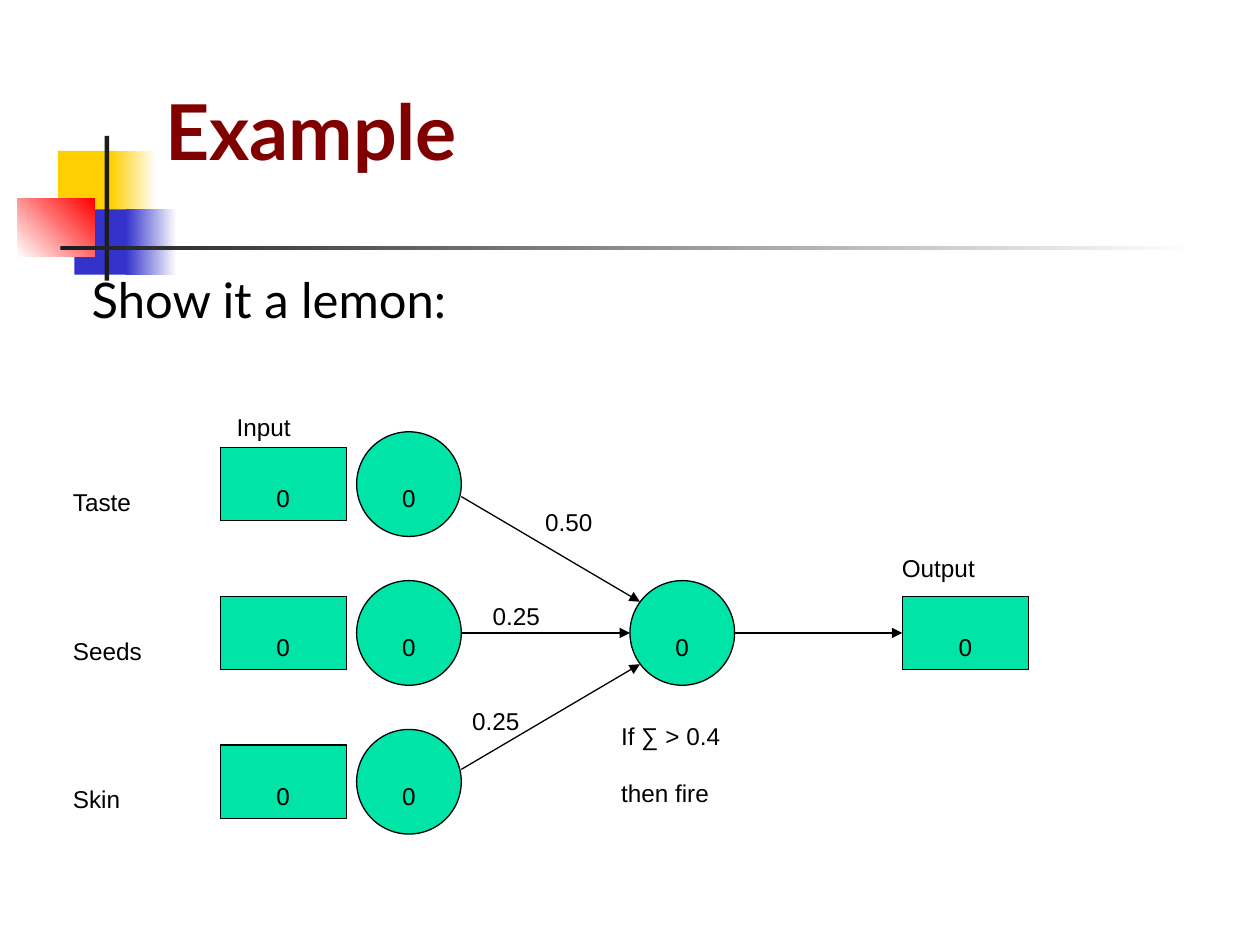
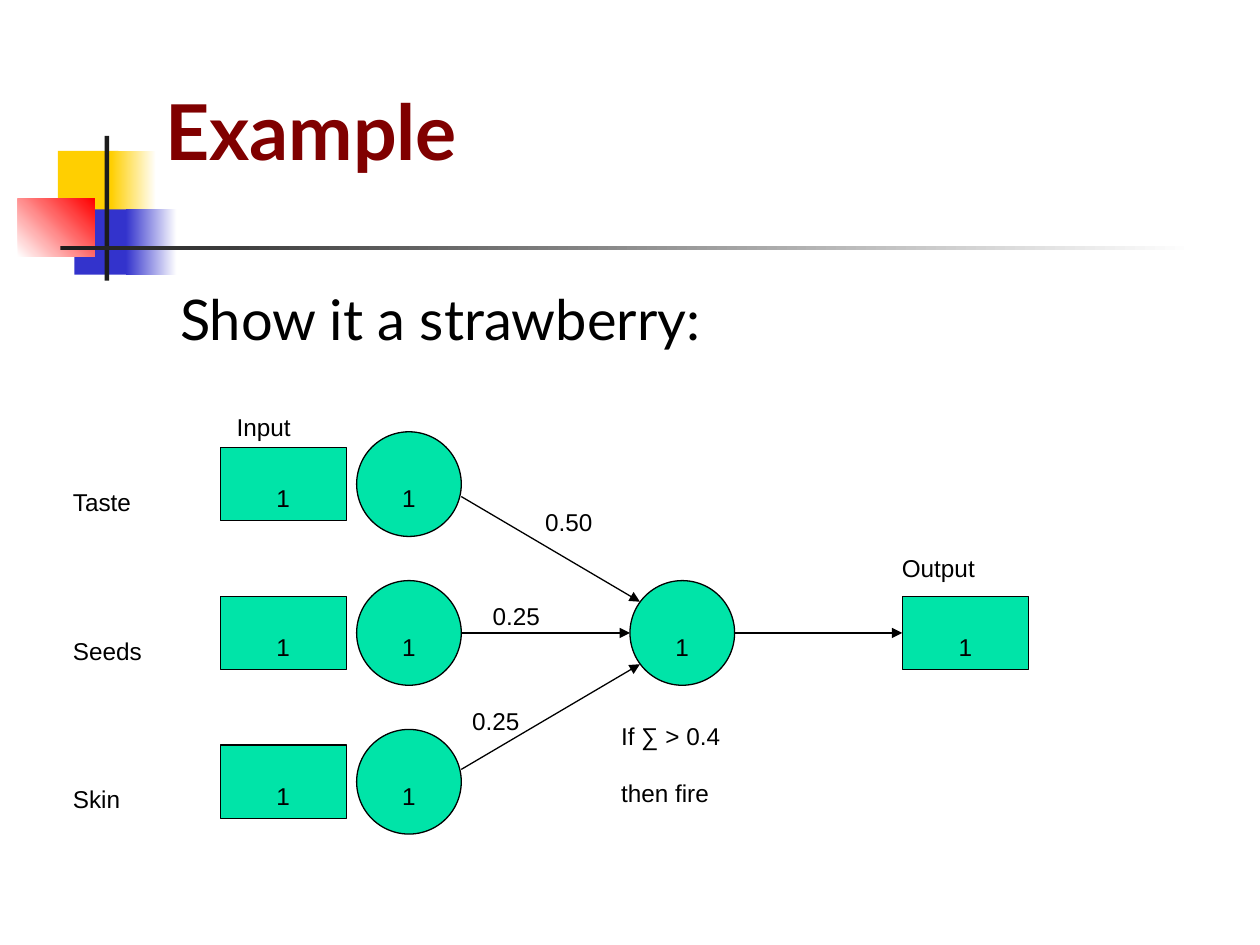
from lxml import etree
from pptx import Presentation
from pptx.dml.color import RGBColor
from pptx.enum.shapes import MSO_CONNECTOR, MSO_SHAPE
from pptx.enum.text import MSO_ANCHOR, MSO_AUTO_SIZE, PP_ALIGN
from pptx.oxml.ns import qn
from pptx.util import Cm, Pt

RECTANGLE, OVAL = MSO_SHAPE.RECTANGLE, MSO_SHAPE.OVAL
STRAIGHT = MSO_CONNECTOR.STRAIGHT
LEFT, CENTER = PP_ALIGN.LEFT, PP_ALIGN.CENTER
MIDDLE, TOP = MSO_ANCHOR.MIDDLE, MSO_ANCHOR.TOP
NO_AUTOFIT = MSO_AUTO_SIZE.NONE

# Shared look
HEADING_FONT, DIAGRAM_FONT = "Lato", "Arial"
BLACK, WHITE, MAROON = "000000", "FFFFFF", "800000"
YELLOW, BLUE, RED, CHARCOAL = "FFCF01", "3333CC", "FF0000", "1C1C1C"
GREEN = "00E4A8"
SUBSCRIPT = "-25000"

# Boxes in cm: left, top, width, height
TITLE_BOX = (3.2, 0.58, 21.64, 4.06)
ORNAMENT_BOX = (0.36, 2.74, 23.72, 2.92)
DIAGRAM_BOX = (1.22, 7.62, 19.76, 9.2)

# Ornament parts: offset and size in cm, colours, gradient angle
ORNAMENT = [
    (0.81, 0.3, 1.22, 1.32, [YELLOW], 0),
    (1.88, 0.3, 0.91, 1.32, [YELLOW, WHITE], 0),
    (1.14, 1.48, 1.17, 1.32, [BLUE], 0),
    (2.18, 1.48, 1.02, 1.32, [BLUE, WHITE], 0),
    (0, 1.27, 1.55, 1.17, [WHITE, RED], 45),
    (1.75, 0, 0.09, 2.92, [CHARCOAL], 0),
    (0.86, 2.21, 22.86, 0.09, [CHARCOAL, WHITE], 0),
]

# Diagram measures in cm, relative to its box
ROW_START, ROW_PITCH = 2.14, 3.0
INPUT_LEFT, INPUT_NODE_LEFT = 3.22, 5.97
SUM_NODE_LEFT, OUTPUT_LEFT = 11.48, 16.97
CELL_WIDTH, CELL_HEIGHT, NODE_SIZE = 2.54, 1.48, 2.11
LABEL_HEIGHT = 1.27
FEATURES = ["Taste", "Seeds", "Skin"]
LABELS = [
    (3.3, 0, 2.39, ["Input"]),
    (16.71, 2.84, 3.05, ["Output"]),
    (9.52, 1.91, 2.16, ["0.50"]),
    (8.46, 3.81, 2.16, ["0.25"]),
    (8.05, 5.92, 2.16, ["0.25"]),
    (11.05, 6.22, 3.48, ["If ∑ > 0.4", "then fire"]),
]

# Prompt, its text size and box, and the value shown in every cell
SLIDES = [
    ("Show it a lemon:", 28, (1.6, 5.31, 22.7, 1.5), "0"),
    ("Show it a strawberry:", 32, (3.38, 5.61, 21.4, 1.7), "1"),
]


def color(hex_text):
    return RGBColor.from_string(hex_text)


def write(frame, lines, font_name, size, hex_text=BLACK, bold=False,
          align=LEFT, anchor=TOP, baseline=None):
    frame.word_wrap = True
    frame.auto_size = NO_AUTOFIT
    frame.vertical_anchor = anchor
    for index, line in enumerate(lines):
        paragraph = frame.add_paragraph() if index else frame.paragraphs[0]
        paragraph.alignment = align
        run = paragraph.add_run()
        run.text = line
        run.font.name = font_name
        run.font.size = Pt(size)
        run.font.bold = bold
        run.font.color.rgb = color(hex_text)
        if baseline:
            run.font._element.set("baseline", baseline)


def write_diagram_text(frame, lines, align=LEFT, anchor=TOP):
    write(frame, lines, DIAGRAM_FONT, 24, align=align, anchor=anchor,
          baseline=SUBSCRIPT)


def add_ornament(slide, box):
    """Coloured squares and the two crossing bars beside the title."""
    left, top = box[:2]
    for x, y, width, height, colors, angle in ORNAMENT:
        shape = slide.shapes.add_shape(
            RECTANGLE, Cm(left + x), Cm(top + y), Cm(width), Cm(height))
        shape.shadow.inherit = False
        shape.line.fill.background()
        if len(colors) == 1:
            shape.fill.solid()
            shape.fill.fore_color.rgb = color(colors[0])
            continue
        shape.fill.gradient()
        shape.fill.gradient_angle = angle
        for stop, hex_text in zip(shape.fill.gradient_stops, colors):
            stop.color.rgb = color(hex_text)


def add_title(slide, box, text):
    title = slide.shapes.title
    title.left, title.top, title.width, title.height = map(Cm, box)
    frame = title.text_frame
    frame.margin_left = frame.margin_right = Cm(0.13)
    write(frame, [text], HEADING_FONT, 44, MAROON, bold=True, anchor=MIDDLE)


def add_prompt(slide, box, text, size):
    prompt = slide.shapes.add_textbox(*map(Cm, box))
    write(prompt.text_frame, [text], HEADING_FONT, size)


def add_label(slide, left, top, width, lines):
    label = slide.shapes.add_textbox(
        Cm(left), Cm(top), Cm(width), Cm(LABEL_HEIGHT * len(lines)))
    write_diagram_text(label.text_frame, lines)


def add_unit(slide, kind, left, middle, value):
    """Green cell or node, centred vertically on its row."""
    width, height = (CELL_WIDTH, CELL_HEIGHT) if kind == RECTANGLE else (
        NODE_SIZE, NODE_SIZE)
    shape = slide.shapes.add_shape(
        kind, Cm(left), Cm(middle - height / 2), Cm(width), Cm(height))
    shape.shadow.inherit = False
    shape.fill.solid()
    shape.fill.fore_color.rgb = color(GREEN)
    shape.line.color.rgb = color(BLACK)
    shape.line.width = Pt(0.75)
    write_diagram_text(shape.text_frame, [value], CENTER, MIDDLE)


def add_arrow(slide, start_x, start_y, end_x, end_y):
    arrow = slide.shapes.add_connector(
        STRAIGHT, Cm(start_x), Cm(start_y), Cm(end_x), Cm(end_y))
    arrow.line.color.rgb = color(BLACK)
    arrow.line.width = Pt(0.75)
    etree.SubElement(arrow.line._get_or_add_ln(), qn("a:tailEnd"),
                     type="triangle")
    etree.SubElement(arrow._element.spPr, qn("a:effectLst"))


def add_network(slide, box, value):
    """Three inputs feeding one summing node and its output."""
    left, top = box[:2]
    rows = [top + ROW_START + ROW_PITCH * index
            for index in range(len(FEATURES))]
    center = rows[1]
    sum_left = left + SUM_NODE_LEFT
    output_left = left + OUTPUT_LEFT

    # Input rows; the outer arrows meet the summing node at a slant
    for feature, middle, slant in zip(FEATURES, rows, (-1, 0, 1)):
        add_label(slide, left, middle - LABEL_HEIGHT / 2, 2.92, [feature])
        add_unit(slide, RECTANGLE, left + INPUT_LEFT, middle, value)
        add_unit(slide, OVAL, left + INPUT_NODE_LEFT, middle, value)
        add_arrow(slide, left + INPUT_NODE_LEFT + NODE_SIZE,
                  middle - 0.25 * slant,
                  sum_left + 0.2 * abs(slant), center + 0.63 * slant)

    # Summing node and output
    add_unit(slide, OVAL, sum_left, center, value)
    add_unit(slide, RECTANGLE, output_left, center, value)
    add_arrow(slide, sum_left + NODE_SIZE, center, output_left, center)

    # Headings, weights and firing rule
    for x, y, width, lines in LABELS:
        add_label(slide, left + x, top + y, width, lines)


def add_example_slide(presentation, prompt, size, prompt_box, value):
    slide = presentation.slides.add_slide(presentation.slide_layouts[5])
    add_ornament(slide, ORNAMENT_BOX)
    add_title(slide, TITLE_BOX, "Example")
    add_prompt(slide, prompt_box, prompt, size)
    add_network(slide, DIAGRAM_BOX, value)


def main():
    presentation = Presentation()
    presentation.slide_width = Cm(25.4)
    presentation.slide_height = Cm(19.05)
    for content in SLIDES:
        add_example_slide(presentation, *content)
    presentation.save("out.pptx")


if __name__ == "__main__":
    main()
